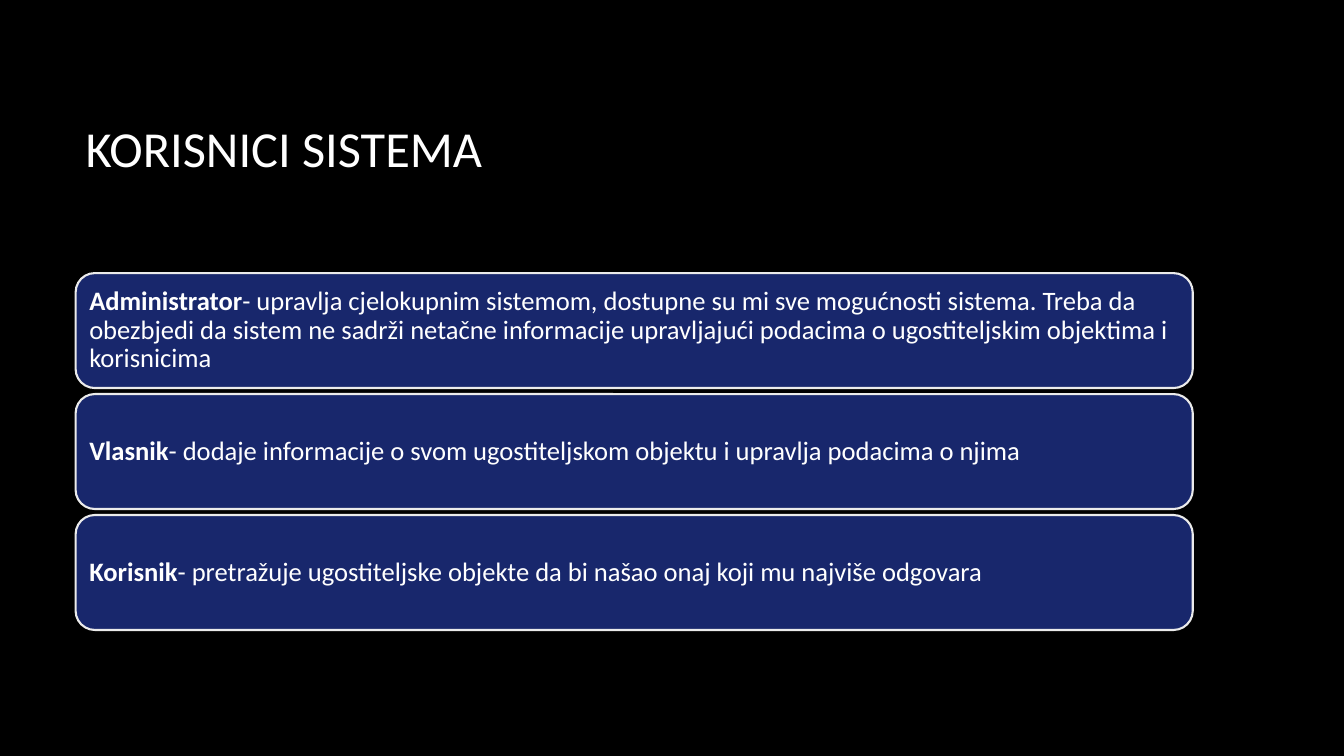
import pptx
import pptx.util
import pptx.dml.color
import pptx.enum.shapes
import pptx.enum.text

Inches = pptx.util.Inches
Pt = pptx.util.Pt

COLORS = {"background": "000000", "card": "18276C", "border": "EBEBEB", "text": "FFFFFF"}

USERS = [
    ("Administrator", "- upravlja cjelokupnim sistemom, dostupne su mi sve mogućnosti sistema. "
     "Treba da obezbjedi da sistem ne sadrži netačne informacije upravljajući podacima "
     "o ugostiteljskim objektima i korisnicima"),
    ("Vlasnik", "- dodaje informacije o svom ugostiteljskom objektu i upravlja podacima o njima"),
    ("Korisnik", "- pretražuje ugostiteljske objekte da bi našao onaj koji mu najviše odgovara"),
]

LEFT, WIDTH = 0.75, 11.08
CARD_TOP, CARD_HEIGHT, CARD_PITCH = 2.71, 1.14, 1.2


class SlideBuilder:
    font_name = "Calibri"

    def __init__(self, page):
        self.page = page
        page.background.fill.solid()
        page.background.fill.fore_color.rgb = self.color("background")

    def color(self, name):
        return pptx.dml.color.RGBColor.from_string(COLORS[name])

    def style(self, para, size):
        para.alignment = pptx.enum.text.PP_ALIGN.LEFT
        para.font.name = self.font_name
        para.font.size = Pt(size)
        para.font.color.rgb = self.color("text")

    def title(self, text, top, height):
        box = self.page.shapes.title
        box.left, box.top = Inches(LEFT), Inches(top)
        box.width, box.height = Inches(WIDTH), Inches(height)
        box.text_frame.text = text
        box.text_frame.vertical_anchor = pptx.enum.text.MSO_ANCHOR.MIDDLE
        self.style(box.text_frame.paragraphs[0], 36)

    def card(self, top, role, description):
        box = self.page.shapes.add_shape(
            pptx.enum.shapes.MSO_SHAPE.ROUNDED_RECTANGLE,
            Inches(LEFT), Inches(top), Inches(WIDTH), Inches(CARD_HEIGHT))
        box.shadow.inherit = False
        box.fill.solid()
        box.fill.fore_color.rgb = self.color("card")
        box.line.color.rgb = self.color("border")
        box.line.width = Pt(1.5)

        frame = box.text_frame
        frame.word_wrap = True
        frame.vertical_anchor = pptx.enum.text.MSO_ANCHOR.MIDDLE
        # The rounded corners already add about 0.06 inches of inset
        frame.margin_left = frame.margin_right = Inches(0.08)
        frame.margin_top = frame.margin_bottom = Inches(0.08)
        para = frame.paragraphs[0]
        para.line_spacing = 0.9
        self.style(para, 19)
        for text, bold in ((role, True), (description, False)):
            span = para.add_run()
            span.text = text
            span.font.bold = bold


def main():
    deck = pptx.Presentation()
    deck.slide_width, deck.slide_height = Inches(13.33), Inches(7.5)
    builder = SlideBuilder(deck.slides.add_slide(deck.slide_layouts.get_by_name("Title Only")))

    # Title
    builder.title("KORISNICI SISTEMA", 0.67, 1.59)

    # One card for each kind of user
    for index, (role, description) in enumerate(USERS):
        builder.card(CARD_TOP + index * CARD_PITCH, role, description)

    deck.save("out.pptx")


if __name__ == "__main__":
    main()
